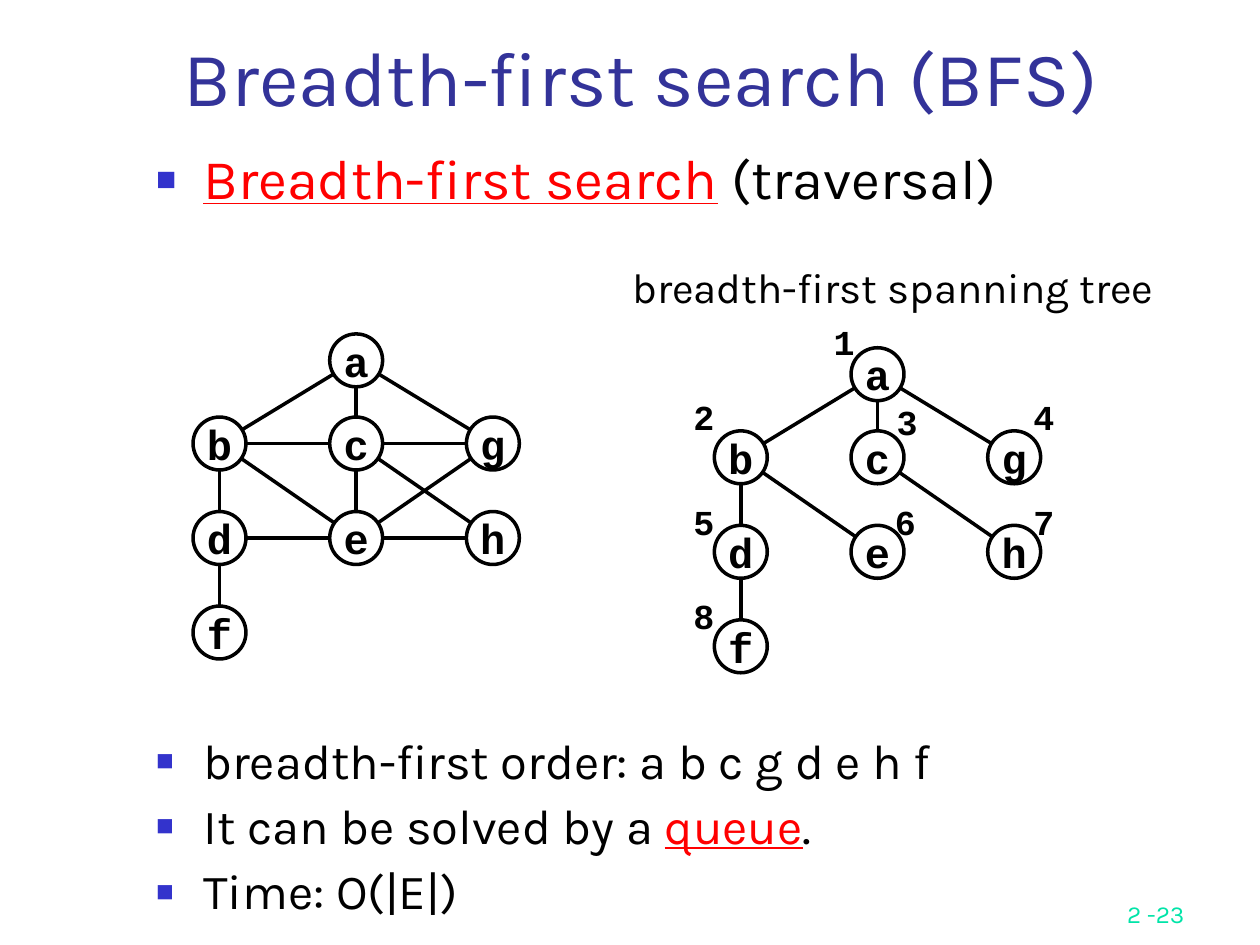
from dataclasses import dataclass
from math import hypot

from lxml import etree
from pptx import Presentation
from pptx.dml.color import RGBColor
from pptx.enum.shapes import MSO_CONNECTOR, MSO_SHAPE
from pptx.enum.text import MSO_ANCHOR, MSO_AUTO_SIZE, PP_ALIGN
from pptx.oxml.ns import qn
from pptx.util import Pt

OVAL = MSO_SHAPE.OVAL
STRAIGHT = MSO_CONNECTOR.STRAIGHT
MIDDLE, BOTTOM = MSO_ANCHOR.MIDDLE, MSO_ANCHOR.BOTTOM
LEFT, CENTER, RIGHT = PP_ALIGN.LEFT, PP_ALIGN.CENTER, PP_ALIGN.RIGHT
NO_FIT = MSO_AUTO_SIZE.NONE


@dataclass(frozen=True)
class Theme:
    text_font: str = "Karla"
    node_font: str = "Courier New"
    title: str = "333399"
    ink: str = "000000"
    accent: str = "FF0000"
    bullet: str = "3333CC"
    footer: str = "00E4A8"
    title_size: int = 44
    lead_size: int = 32
    item_size: int = 28
    node_size: int = 24
    caption_size: int = 24
    order_size: int = 20
    footer_size: int = 14
    line_width: int = 2


THEME = Theme()

DIAMETER = 30.24
COLUMN_STEP = 78.1
ROW_TOPS = (0, 47.5, 101.5, 155.5)
# Column and row of each node, listed in breadth-first order
NODES = {"a": (1, 0), "b": (0, 1), "c": (1, 1), "g": (2, 1),
         "d": (0, 2), "e": (1, 2), "h": (2, 2), "f": (0, 3)}
TREE_EDGES = ("ab", "ac", "ag", "bd", "be", "ch", "df")
GRAPH_EDGES = TREE_EDGES + ("bc", "cg", "ce", "de", "eh", "eg")
# Offset of each visit number from the corner of its node
ORDER_OFFSETS = {"a": (-17, -19), "b": (-19, -24), "c": (19, -21), "g": (19, -24),
                 "d": (-19, -18), "e": (18, -18), "h": (19, -18), "f": (-19, -18)}

# Each item: space before, size, and (text, highlighted) spans
ITEMS = (
    (0, THEME.lead_size, (("Breadth-first search", True), (" (traversal)", False))),
    (300, THEME.item_size, (("breadth-first order: a b c g d e h f", False),)),
    (7, THEME.item_size, (("It can be solved by a ", False), ("queue", True), (".", False))),
    (7, THEME.item_size, (("Time: O(|E|)", False),)),
)


def place(shape, box):
    shape.left, shape.top, shape.width, shape.height = (Pt(value) for value in box)


def style(font, name, size, color, bold=False):
    font.name, font.size, font.bold = name, Pt(size), bold
    font.color.rgb = RGBColor.from_string(color)


def write(shape, text, align, name, size, color, bold=False):
    """Fill a shape with one formatted paragraph."""
    shape.text_frame.text = text
    para = shape.text_frame.paragraphs[0]
    para.alignment = align
    style(para.runs[0].font, name, size, color, bold)


def add_title(page, box):
    title = page.shapes.title
    place(title, box)
    title.text_frame.vertical_anchor = BOTTOM
    title.text_frame.auto_size = NO_FIT
    write(title, "Breadth-first search (BFS)", CENTER,
          THEME.text_font, THEME.title_size, THEME.title)


def add_bullet(para):
    properties = para._p.get_or_add_pPr()
    properties.set("marL", str(Pt(27)))
    properties.set("indent", str(-Pt(27)))
    color = etree.SubElement(properties, qn("a:buClr"))
    etree.SubElement(color, qn("a:srgbClr"), val=THEME.bullet)
    etree.SubElement(properties, qn("a:buSzPct"), val="60000")
    etree.SubElement(properties, qn("a:buChar"), char="■")


def add_list(page, box):
    body = page.placeholders[1]
    place(body, box)
    frame = body.text_frame
    frame.auto_size = NO_FIT
    for index, (gap, size, spans) in enumerate(ITEMS):
        para = frame.add_paragraph() if index else frame.paragraphs[0]
        add_bullet(para)
        para.line_spacing = 0.9
        para.space_before = Pt(gap)
        for text, highlighted in spans:
            span = para.add_run()
            span.text = text
            style(span.font, THEME.text_font, size,
                  THEME.accent if highlighted else THEME.ink)
            span.font.underline = highlighted


def node_corner(box, name):
    column, row = NODES[name]
    return box[0] + column * COLUMN_STEP, box[1] + ROW_TOPS[row]


def add_node(group, box, name):
    left, top = node_corner(box, name)
    node = group.shapes.add_shape(OVAL, Pt(left), Pt(top), Pt(DIAMETER), Pt(DIAMETER))
    node.shadow.inherit = False
    node.fill.background()
    node.line.color.rgb = RGBColor.from_string(THEME.ink)
    node.line.width = Pt(THEME.line_width)
    node.text_frame.word_wrap = False
    node.text_frame.vertical_anchor = MIDDLE
    write(node, name, CENTER, THEME.node_font, THEME.node_size, THEME.ink, True)


def add_edge(group, box, start, end):
    """Draw a line between the rims of two nodes."""
    radius = DIAMETER / 2
    x1, y1 = (value + radius for value in node_corner(box, start))
    x2, y2 = (value + radius for value in node_corner(box, end))
    trim = radius / hypot(x2 - x1, y2 - y1)
    dx, dy = (x2 - x1) * trim, (y2 - y1) * trim
    edge = group.shapes.add_connector(STRAIGHT, Pt(x1 + dx), Pt(y1 + dy),
                                      Pt(x2 - dx), Pt(y2 - dy))
    edge.line.color.rgb = RGBColor.from_string(THEME.ink)
    edge.line.width = Pt(THEME.line_width)
    etree.SubElement(edge._element.spPr, qn("a:effectLst"))


def add_graph(page, box, edges):
    group = page.shapes.add_group_shape()
    for name in NODES:
        add_node(group, box, name)
    for start, end in edges:
        add_edge(group, box, start, end)
    return group


def add_spanning_tree(page, box):
    group = add_graph(page, box, TREE_EDGES)
    for number, (name, (dx, dy)) in enumerate(ORDER_OFFSETS.items(), 1):
        left, top = node_corner(box, name)
        order = group.shapes.add_textbox(Pt(left + dx), Pt(top + dy), Pt(26), Pt(32))
        order.text_frame.word_wrap = False
        write(order, str(number), LEFT, THEME.node_font, THEME.order_size, THEME.ink, True)
    caption = group.shapes.add_textbox(Pt(box[0] - 54), Pt(box[1] - 53), Pt(317.5), Pt(65))
    caption.text_frame.word_wrap = True
    write(caption, "breadth-first spanning tree", LEFT,
          THEME.text_font, THEME.caption_size, THEME.ink)


def add_page_number(page, box):
    number = page.shapes.add_textbox(*(Pt(value) for value in box))
    number.text_frame.word_wrap = True
    number.text_frame.vertical_anchor = BOTTOM
    write(number, "2 -23", RIGHT, THEME.text_font, THEME.footer_size, THEME.footer)


def main():
    deck = Presentation()
    deck.slide_width, deck.slide_height = Pt(720), Pt(540)
    page = deck.slides.add_slide(deck.slide_layouts[1])
    add_page_number(page, (534, 498, 150, 36))
    add_list(page, (82, 83, 606, 457))
    add_title(page, (60, 0, 613, 73.5))
    add_graph(page, (110.3, 190.8), GRAPH_EDGES)
    add_spanning_tree(page, (408.2, 198.7))
    deck.save("out.pptx")


if __name__ == "__main__":
    main()
